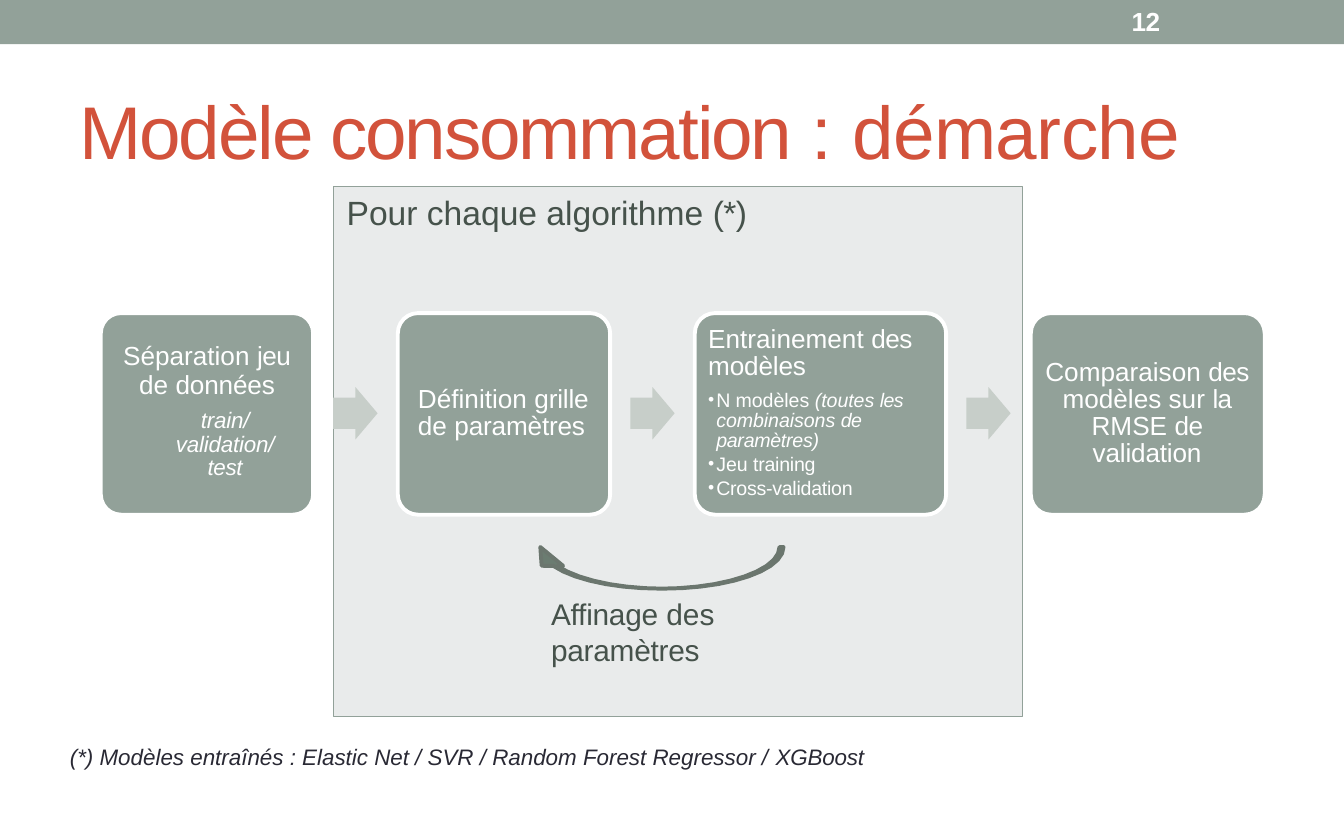
"""Build the slide that explains the consumption model workflow."""
from dataclasses import dataclass
from math import cos, radians, sin

from lxml import etree
from pptx import Presentation
from pptx.dml.color import RGBColor
from pptx.enum.shapes import MSO_SHAPE
from pptx.enum.text import PP_ALIGN
from pptx.oxml.ns import qn
from pptx.util import Inches, Pt

RECT = MSO_SHAPE.RECTANGLE
ROUNDED = MSO_SHAPE.ROUNDED_RECTANGLE
ARROW = MSO_SHAPE.RIGHT_ARROW
LEFT, CENTER = PP_ALIGN.LEFT, PP_ALIGN.CENTER

FONT = "Arial"
SAGE, PALE, MIST, WHITE = "92A199", "C7CEC9", "E9EBEB", "FFFFFF"
RED, SLATE, INK = "D2523B", "46524B", "292934"
LOOP_FILL, LOOP_LINE = "6B7C71", "6B766E"

STEP_LEFT, STEP_TOP, STEP_HEIGHT, STEP_GAP = 0.75, 2.33, 1.5, 0.63
STEP_WIDTHS = (1.58, 1.58, 1.87, 1.74)
ARROW_OFFSET, ARROW_TOP = 0.48, 2.88


@dataclass
class Run:
    """A stretch of text with its own tracking and slant."""
    text: str
    spacing: float = 0
    italic: bool = False


@dataclass
class Para:
    """A paragraph with its format."""
    runs: list[Run]
    size: float
    color: str = WHITE
    align: PP_ALIGN = LEFT
    line: float | Pt = 1.0
    before: float = 0
    indent: float = 0
    bold: bool = False
    bullet: bool = False


@dataclass
class Label:
    """A text box with its place and paragraphs."""
    left: float
    top: float
    width: float
    height: float
    paras: list[Para]
    inset: float = 0.01


LABELS = [
    Label(0.59, 0.58, 8.46, 1.06, [Para([
        Run("Modèle consommation ", -1.1), Run(": "), Run("démarche", -0.3)], 40, RED, before=1)], 0.05),
    Label(8.42, 0.03, 0.24, 0.25, [Para([Run("12", -0.3)], 14, before=1.1, bold=True)]),
    Label(0.9, 2.53, 1.28, 1.04, [
        Para([Run("Séparation "), Run("jeu", -0.3)], 14, align=CENTER, line=Pt(15.7), before=1.1),
        Para([Run("de "), Run("données", -0.1)], 14, align=CENTER, line=Pt(15.7)),
        Para([Run("train/ validation/ ", -0.1, True), Run("test", -0.2, True)], 12,
             align=CENTER, line=0.86, before=5.6, indent=0.27)]),
    Label(3.11, 2.83, 1.29, 0.45, [Para([
        Run("Définition "), Run("grille ", -0.1), Run("de "), Run("paramètres", -0.1)],
        14, line=Pt(14.5), before=3.4)], 0.05),
    Label(5.27, 2.38, 1.54, 1.33, [
        Para([Run("Entrainement "), Run("des ", -0.3), Run("modèles", -0.1)],
             14, line=Pt(14.5), before=3.4),
        Para([Run("N modèles "), Run("(toutes ", 0, True), Run("les ", -0.3, True),
              Run("combinaisons ", 0, True), Run("de ", -0.3, True), Run("paramètres)", -0.1, True)],
             10.5, line=0.86, before=5.7, indent=0.06, bullet=True),
        Para([Run("Jeu "), Run("training", -0.1)], 10.5, indent=0.06, bullet=True),
        Para([Run("Cross-validation", -0.1)], 10.5, before=0.1, indent=0.06, bullet=True)], 0.05),
    Label(7.76, 2.63, 1.55, 0.85, [Para([
        Run("Comparaison "), Run("des ", -0.3), Run("modèles sur "), Run("la ", -0.3),
        Run("RMSE "), Run("de ", -0.3), Run("validation", -0.1)],
        14, align=CENTER, line=0.86, before=3.3)], 0.05),
    Label(4.1, 4.42, 1.55, 0.55, [Para([
        Run("Affinage ", -0.1), Run("des "), Run("paramètres", -0.1)], 16, SLATE, before=1)]),
    Label(2.58, 1.42, 3, 0.31, [Para([
        Run("Pour chaque algorithme "), Run("(*)", -0.3)], 18, SLATE, before=1)]),
    Label(0.52, 5.52, 5.94, 0.41, [Para([
        Run("(*) Modèles entraînés : Elastic Net / SVR / Random Forest Regressor / ", 0, True),
        Run("XGBoost", -0.1, True)], 12, INK, before=1)]),
]


def rgb(color: str) -> RGBColor:
    """Turn a hex string into a colour."""
    return RGBColor.from_string(color)


def apply(target: object, values: dict) -> None:
    """Set each named attribute of the target."""
    for name, value in values.items():
        setattr(target, name, value)


def paint(sp, fill: str, line: str | None = None, weight: float = 0) -> None:
    """Give a shape its fill and outline, with no shadow."""
    sp.shadow.inherit = False
    sp.fill.solid()
    sp.fill.fore_color.rgb = rgb(fill)
    if line:
        sp.line.color.rgb = rgb(line)
        sp.line.width = Pt(weight)
    else:
        sp.line.fill.background()


def add_block(s, kind: MSO_SHAPE, box: tuple, fill: str, line: str | None = None,
              weight: float = 0, adjust: tuple = ()) -> None:
    """Draw a preset shape."""
    sp = s.shapes.add_shape(kind, *map(Inches, box))
    for i, value in enumerate(adjust):
        sp.adjustments[i] = value
    paint(sp, fill, line, weight)


def add_para(p, para: Para) -> None:
    """Fill one paragraph with its runs and format."""
    apply(p, {"alignment": para.align, "line_spacing": para.line,
              "space_before": Pt(para.before), "space_after": Pt(0)})
    pPr = p._p.get_or_add_pPr()
    pPr.set("marL", str(Inches(para.indent)))
    pPr.set("indent", str(-Inches(para.indent) if para.bullet else 0))
    if para.bullet:
        etree.SubElement(pPr, qn("a:buSzPct")).set("val", "90000")
        etree.SubElement(pPr, qn("a:buFont")).set("typeface", FONT)
        etree.SubElement(pPr, qn("a:buChar")).set("char", "•")
    for run in para.runs:
        r = p.add_run()
        r.text = run.text
        apply(r.font, {"name": FONT, "size": Pt(para.size), "bold": para.bold, "italic": run.italic})
        r.font.color.rgb = rgb(para.color)
        r._r.get_or_add_rPr().set("spc", str(round(run.spacing * 100)))


def add_label(s, label: Label) -> None:
    """Draw a text box."""
    box = (label.left, label.top, label.width, label.height)
    tf = s.shapes.add_textbox(*map(Inches, box)).text_frame
    apply(tf, {"word_wrap": True, "margin_left": 0, "margin_right": 0,
               "margin_top": Inches(label.inset), "margin_bottom": 0})
    for i, para in enumerate(label.paras):
        add_para(tf.add_paragraph() if i else tf.paragraphs[0], para)


def arc(center: float, angles: range) -> list[tuple]:
    """Return points on the lower half of the loop ellipse."""
    return [(center + 0.89 * cos(radians(a)), 4.07 + 0.31 * sin(radians(a))) for a in angles]


def add_loop(s) -> None:
    """Draw the curved arrow that goes back to the grid step."""
    head = [(4.19, 4.21), (4.02, 4.07), (4.03, 4.21)]
    points = arc(4.94, range(0, 154, 9)) + head + arc(4.91, range(153, -1, -9))
    start, *rest = [(Inches(x), Inches(y)) for x, y in points]
    builder = s.shapes.build_freeform(*start)
    builder.add_line_segments(rest, close=True)
    paint(builder.convert_to_shape(), LOOP_FILL, LOOP_LINE, 2.08)


def add_steps(s) -> None:
    """Draw the four steps and the arrows between them."""
    left = STEP_LEFT
    for i, width in enumerate(STEP_WIDTHS):
        if i:
            add_block(s, ARROW, (left - ARROW_OFFSET, ARROW_TOP, 0.33, 0.39), PALE, adjust=(0.6, 0.5))
        add_block(s, ROUNDED, (left, STEP_TOP, width, STEP_HEIGHT), SAGE, WHITE, 2.08, (0.1,))
        left += width + STEP_GAP


def main() -> None:
    """Build and save the slide."""
    prs = Presentation()
    apply(prs, {"slide_width": Inches(10), "slide_height": Inches(6.25)})
    s = prs.slides.add_slide(prs.slide_layouts[6])
    add_block(s, RECT, (0, 0, 10, 0.33), SAGE)
    add_block(s, RECT, (2.48, 1.39, 5.13, 3.94), MIST, SAGE, 0.75)
    add_steps(s)
    add_loop(s)
    for label in LABELS:
        add_label(s, label)
    prs.save("out.pptx")


main()
